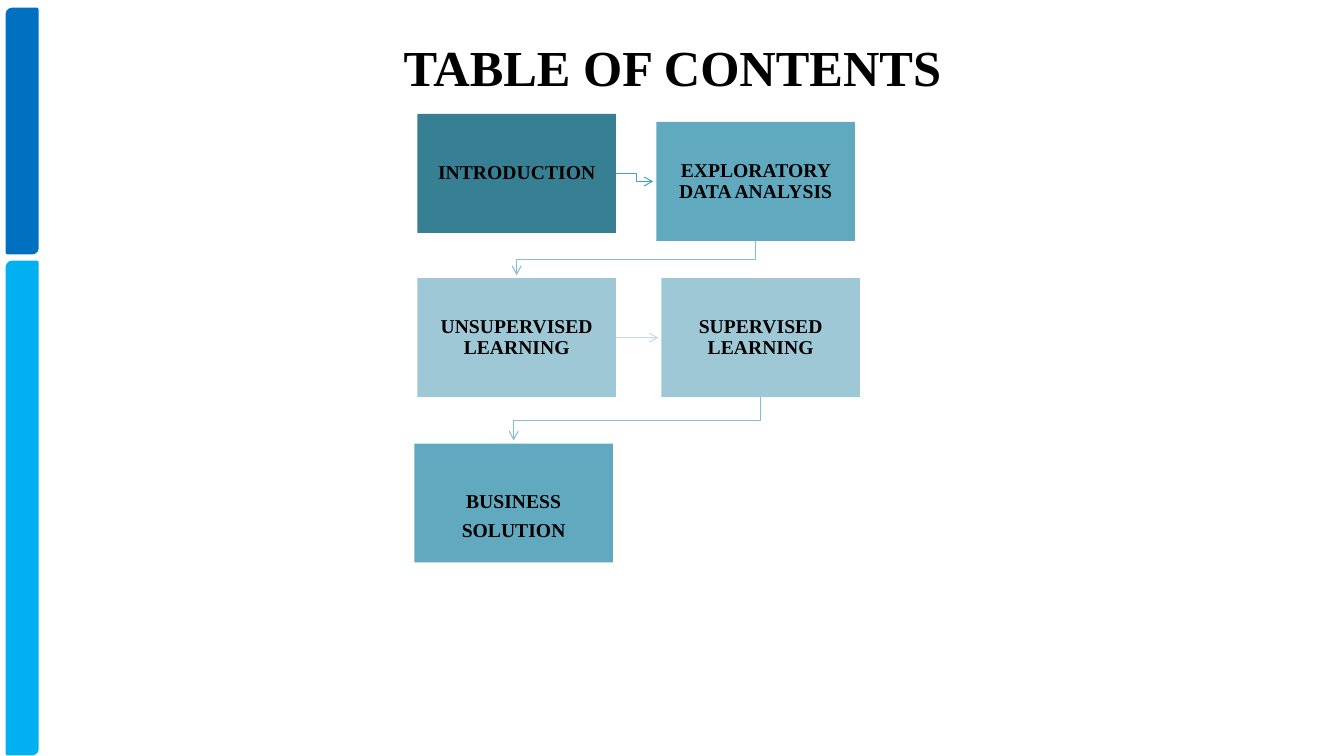
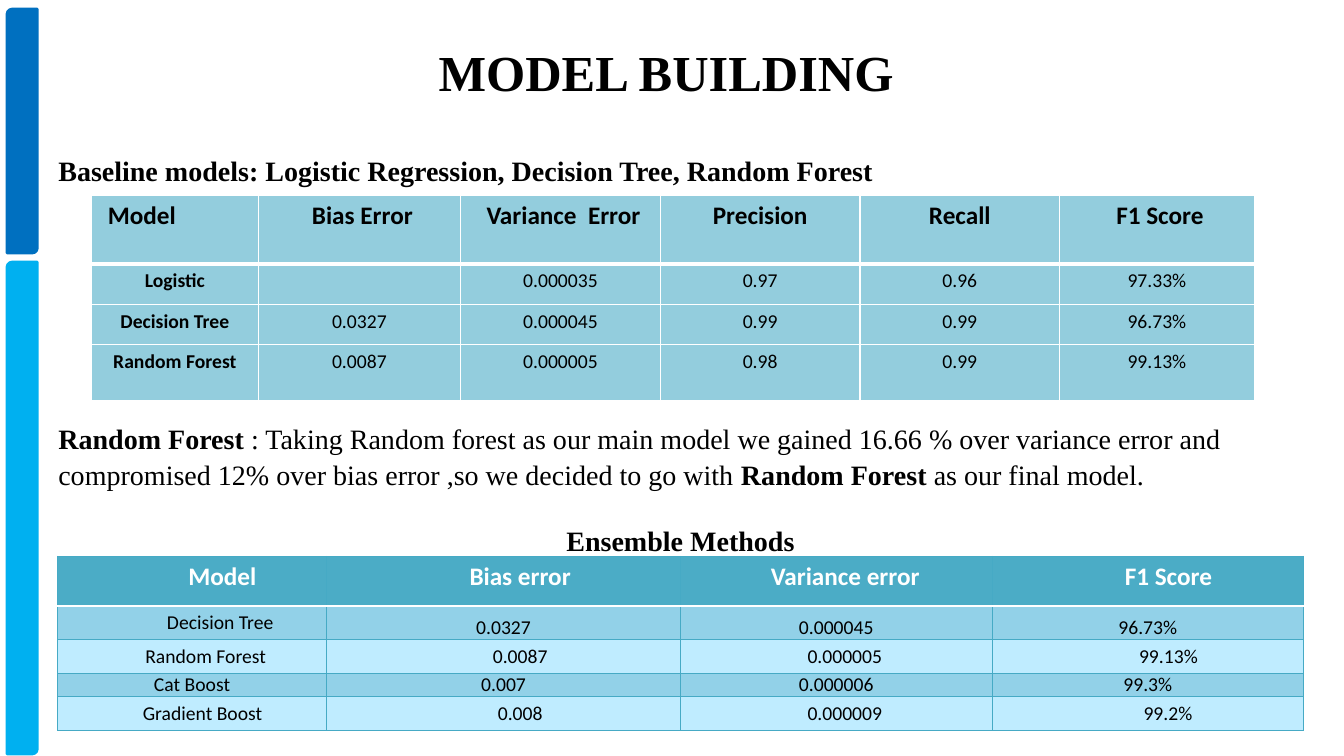
import pptx
import pptx.util
import pptx.dml.color
import pptx.enum.shapes
import pptx.enum.text
import pptx.oxml
import pptx.oxml.ns
import lxml.etree

Inches = pptx.util.Inches
Pt = pptx.util.Pt
SHAPES = pptx.enum.shapes.MSO_SHAPE
ALIGN = pptx.enum.text.PP_ALIGN
ANCHOR = pptx.enum.text.MSO_ANCHOR

COLORS = {
    "black": "000000", "white": "FFFFFF",
    "band_dark": "0070C0", "band_light": "00B0F0",
    "card_dark": "377F92", "card_mid": "60A9BF", "card_pale": "9FC8D6",
    "arrow_dark": "48A4BD", "arrow_mid": "86BDD0", "arrow_pale": "C2DBE5",
    "baseline": "93CDDD", "header": "4BACC6", "grid": "46AAC5",
    "row_dark": "92D1E8", "row_light": "BFECFF",
}
SERIF, SANS = "Times New Roman", "Calibri"
CARD_WIDTH, CARD_HEIGHT = 1.97, 1.18


def rgb(name):
    return pptx.dml.color.RGBColor.from_string(COLORS[name])


def add_xml(parent, tag, **attributes):
    return lxml.etree.SubElement(parent, pptx.oxml.ns.qn(tag), attributes)


class Deck:
    """Holds the shared style and the slide being built."""

    def __init__(self):
        self.presentation = pptx.Presentation()
        self.presentation.slide_width = Inches(13.33)
        self.presentation.slide_height = Inches(7.5)
        self.slide = None

    def new_slide(self, title, title_top):
        layout = self.presentation.slide_layouts[6]
        self.slide = self.presentation.slides.add_slide(layout)
        # Side bands
        for top, height, color in ((0.09, 2.42, "band_dark"), (2.6, 4.88, "band_light")):
            band = self.block(SHAPES.ROUND_2_DIAG_RECTANGLE, 0.07, top, 0.3, height, color)
            band.line.color.rgb = rgb(color)
            band.line.width = Pt(2)
        self.text(0.67, title_top, 12, 0.74, [(title, True)], size=36,
                  align=ALIGN.CENTER, anchor=ANCHOR.MIDDLE)

    def block(self, kind, left, top, width, height, color):
        shape = self.slide.shapes.add_shape(
            kind, Inches(left), Inches(top), Inches(width), Inches(height))
        shape.shadow.inherit = False
        shape.fill.solid()
        shape.fill.fore_color.rgb = rgb(color)
        shape.line.fill.background()
        return shape

    def style(self, paragraph, size, font=SERIF, color="black", bold=None, align=ALIGN.LEFT):
        paragraph.alignment = align
        paragraph.font.name = font
        paragraph.font.size = Pt(size)
        paragraph.font.bold = bold
        paragraph.font.color.rgb = rgb(color)

    def text(self, left, top, width, height, runs, size=20,
             align=ALIGN.LEFT, anchor=ANCHOR.TOP, spacing=1.0):
        box = self.slide.shapes.add_textbox(
            Inches(left), Inches(top), Inches(width), Inches(height))
        frame = box.text_frame
        frame.word_wrap = True
        frame.vertical_anchor = anchor
        paragraph = frame.paragraphs[0]
        self.style(paragraph, size, align=align)
        paragraph.line_spacing = spacing
        for words, bold in runs:
            run = paragraph.add_run()
            run.text = words
            run.font.bold = bold

    def card(self, left, top, lines, color, top_inset=0.11):
        shape = self.block(SHAPES.RECTANGLE, left, top, CARD_WIDTH, CARD_HEIGHT, color)
        frame = shape.text_frame
        frame.word_wrap = True
        frame.vertical_anchor = ANCHOR.MIDDLE
        frame.margin_left = frame.margin_right = frame.margin_bottom = Inches(0.11)
        frame.margin_top = Inches(top_inset)
        frame.text = "\n".join(lines)
        for paragraph in frame.paragraphs:
            self.style(paragraph, 14, bold=True, align=ALIGN.CENTER)
            paragraph.line_spacing = 0.9
            paragraph.space_after = Pt(5)
        return shape

    def arrow(self, points, color):
        shapes = self.slide.shapes
        if len(points) == 2:
            arrow = shapes.add_connector(
                pptx.enum.shapes.MSO_CONNECTOR.STRAIGHT, *points[0], *points[1])
            add_xml(arrow._element.spPr, "a:effectLst")
        else:
            builder = shapes.build_freeform(*points[0])
            builder.add_line_segments(points[1:], close=False)
            arrow = builder.convert_to_shape()
            arrow.shadow.inherit = False
            arrow.fill.background()
        arrow.line.color.rgb = rgb(color)
        arrow.line.width = Pt(0.75)
        add_xml(arrow.line._get_or_add_ln(), "a:tailEnd", type="arrow")

    def arrow_right(self, source, target, color):
        start = source.left + source.width
        end = target.left - Inches(0.03)
        start_y = source.top + source.height // 2
        end_y = target.top + target.height // 2
        middle = (start + target.left) // 2
        bend = [(middle, start_y), (middle, end_y)] if start_y != end_y else []
        self.arrow([(start, start_y), *bend, (end, end_y)], color)

    def arrow_down(self, source, target, color):
        start = source.top + source.height
        start_x = source.left + source.width // 2
        end_x = target.left + target.width // 2
        middle = (start + target.top) // 2
        self.arrow([(start_x, start), (start_x, middle), (end_x, middle),
                    (end_x, target.top - Inches(0.03))], color)

    def table(self, left, top, widths, heights):
        frame = self.slide.shapes.add_table(
            len(heights), len(widths), Inches(left), Inches(top),
            Inches(sum(widths)), Inches(sum(heights)))
        table = frame.table
        table.horz_banding = False
        for column, width in zip(table.columns, widths):
            column.width = Inches(width)
        for row, height in zip(table.rows, heights):
            row.height = Inches(height)
        return table

    def cell(self, cell, words, fill, borders, size, color="black", bold=False,
             align=ALIGN.CENTER, indent=0, side_margin=0.1):
        """An indent of None sets the text flush on the cell's bottom edge."""
        cell.fill.solid()
        cell.fill.fore_color.rgb = rgb(fill)
        cell.text = words
        paragraph = cell.text_frame.paragraphs[0]
        self.style(paragraph, size, SANS, color, bold, align)
        if indent is None:
            cell.vertical_anchor = ANCHOR.BOTTOM
            cell.margin_left = cell.margin_right = cell.margin_top = cell.margin_bottom = 0
        else:
            cell.margin_left = cell.margin_right = Inches(side_margin)
            paragraph._p.get_or_add_pPr().set("marL", str(Inches(indent)))
        properties = cell._tc.get_or_add_tcPr()
        for position, (side, (line_color, width)) in enumerate(borders.items()):
            line = add_xml(properties, "a:ln" + side, w=str(Pt(width)))
            add_xml(add_xml(line, "a:solidFill"), "a:srgbClr", val=COLORS[line_color])
            properties.insert(position, line)


def cell_borders(row, line, header_line):
    """The header's lower line is shared with the first body row."""
    return {"L": line, "R": line,
            "T": header_line if row == 1 else line,
            "B": header_line if row == 0 else line}


def contents_slide(deck):
    deck.new_slide("TABLE OF CONTENTS", 0.29)
    # Cards
    introduction = deck.card(4.14, 1.13, ["INTRODUCTION"], "card_dark")
    exploratory = deck.card(6.51, 1.21, ["EXPLORATORY DATA ANALYSIS"], "card_mid")
    unsupervised = deck.card(4.14, 2.76, ["UNSUPERVISED LEARNING"], "card_pale")
    supervised = deck.card(6.56, 2.76, ["SUPERVISED LEARNING"], "card_pale")
    business = deck.card(4.11, 4.4, ["BUSINESS", "SOLUTION"], "card_mid", top_inset=0.38)
    # Arrows
    deck.arrow_right(introduction, exploratory, "arrow_dark")
    deck.arrow_down(exploratory, unsupervised, "arrow_mid")
    deck.arrow_right(unsupervised, supervised, "arrow_pale")
    deck.arrow_down(supervised, business, "arrow_mid")


def baseline_table(deck):
    rows = [
        ("Model", "Bias Error", "Variance  Error", "Precision", "Recall", "F1 Score"),
        ("Logistic", "", "0.000035", "0.97", "0.96", "97.33%"),
        ("Decision Tree", "0.0327", "0.000045", "0.99", "0.99", "96.73%"),
        ("Random Forest", "0.0087", "0.000005", "0.98", "0.99", "99.13%"),
    ]
    header_indents = (0.06, 0.06, 0.06, 0, 0, 0.06)
    table = deck.table(0.91, 1.94, [1.65, 2.01, 1.98, 1.98, 1.98, 1.93],
                       [0.68, 0.4, 0.4, 0.55])
    for row, values in enumerate(rows):
        borders = cell_borders(row, ("white", 1), ("white", 3))
        for column, words in enumerate(values):
            header = row == 0
            deck.cell(table.cell(row, column), words, "baseline", borders,
                      size=18 if header else 14, bold=header or column == 0,
                      align=ALIGN.LEFT if row == column == 0 else ALIGN.CENTER,
                      indent=header_indents[column] if header else 0)


def ensemble_table(deck):
    rows = [
        (("Model", "Bias error", "Variance error", "F1 Score"), (0.6, 0.33, 0.18, 0.41)),
        (("Decision Tree", "0.0327", "0.000045", "96.73%"), (0.56, None, None, None)),
        (("Random Forest", "0.0087", "0.000005", "99.13%"), (0.27, 0.33, 0.17, 0.41)),
        (("Cat Boost", "0.007", "0.000006", "99.3%"), (None,) * 4),
        (("Gradient Boost", "0.008", "0.000009", "99.2%"), (0.21, 0.33, 0.17, 0.4)),
    ]
    table = deck.table(0.57, 5.52, [2.67, 3.51, 3.09, 3.09], [0.49, 0.33, 0.33, 0.23, 0.33])
    for row, (values, indents) in enumerate(rows):
        header = row == 0
        fill = "header" if header else ("row_light", "row_dark")[row % 2]
        borders = cell_borders(row, ("grid", 0.75), ("white", 2))
        for column, (words, indent) in enumerate(zip(values, indents)):
            deck.cell(table.cell(row, column), words, fill, borders,
                      size=18 if header else 14, color="white" if header else "black",
                      bold=header, indent=indent, side_margin=0.13)


def model_slide(deck):
    deck.new_slide("MODEL BUILDING ", 0.34)
    # Headings and finding
    deck.text(0.48, 1.47, 12.61, 0.42,
              [("Baseline models: Logistic Regression, Decision Tree, Random Forest", True)])
    deck.text(0.48, 4.12, 12.61, 0.78, [
        ("Random Forest ", True),
        (": Taking Random forest as our main model we gained 16.66 % over variance error "
         "and compromised 12% over bias error ,so we decided to go with ", False),
        ("Random Forest ", True),
        ("as our final model.", False)], spacing=1.05)
    deck.text(0.48, 5.14, 12.61, 0.42, [("Ensemble Methods ", True)], align=ALIGN.CENTER)
    # Tables
    ensemble_table(deck)
    baseline_table(deck)


def main():
    deck = Deck()
    contents_slide(deck)
    model_slide(deck)
    deck.presentation.save("out.pptx")


if __name__ == "__main__":
    main()
